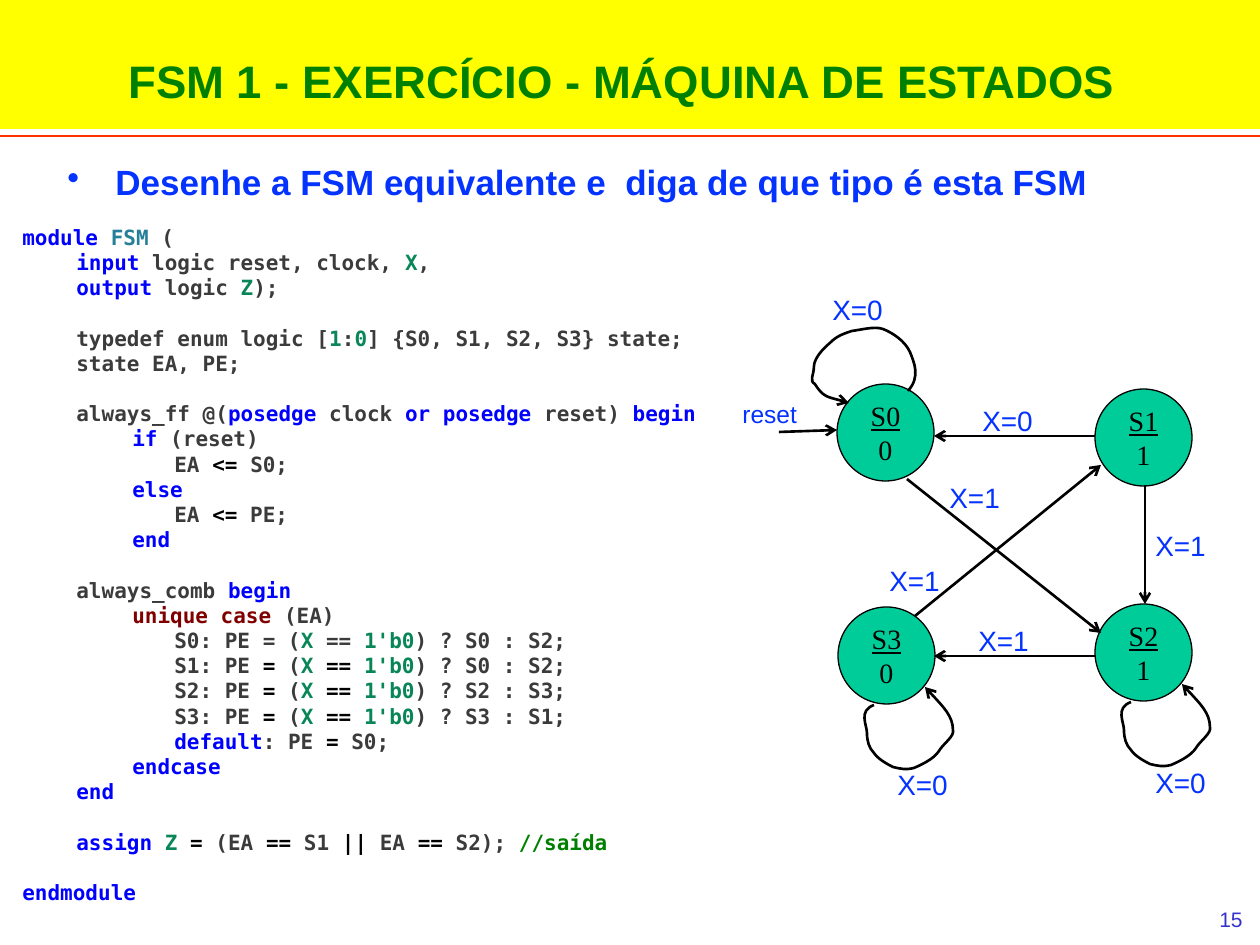
from dataclasses import dataclass

from lxml import etree
from pptx import Presentation
from pptx.dml.color import RGBColor
from pptx.enum.shapes import MSO_CONNECTOR, MSO_SHAPE
from pptx.enum.text import MSO_ANCHOR, PP_ALIGN
from pptx.oxml.ns import qn
from pptx.util import Pt

PX = 914400 / 126
STRAIGHT = MSO_CONNECTOR.STRAIGHT
RECTANGLE, OVAL = MSO_SHAPE.RECTANGLE, MSO_SHAPE.OVAL
TOP, MIDDLE = MSO_ANCHOR.TOP, MSO_ANCHOR.MIDDLE
LEFT, CENTER, RIGHT = PP_ALIGN.LEFT, PP_ALIGN.CENTER, PP_ALIGN.RIGHT


@dataclass(frozen=True)
class Theme:
    sans: str = "Arial"
    serif: str = "Times New Roman"
    mono: str = "DejaVu Sans Mono"
    band: str = "FFFF00"
    title: str = "008000"
    rule: str = "FF3300"
    accent: str = "0432FF"
    number: str = "3333CC"
    state: str = "00CC99"
    ink: str = "000000"
    title_size: int = 26
    bullet_size: int = 20
    label_size: int = 16
    reset_size: int = 14
    small_size: int = 12
    code_line: float = 14.4


THEME = Theme()

# Code colours by role: keyword, name, plain, value, operator, unique, comment
CODE_COLORS = {"k": "0000FF", "n": "267F99", "p": "3B3B3B", "v": "098658",
               "o": "000000", "u": "800000", "c": "008000"}
CODE_INDENTS = (0, 54, 110, 152)


def case_line(state, on_zero, on_one, role="o"):
    return (3, f"p{state}: PE `{role}=`p (`vX `{role}== `v1'b0`p) ? {on_zero} : {on_one};")


# Blocks are parted by a gap; each line is (depth, runs), a run opens with its role
CODE_BLOCKS = [
    [(0, "kmodule `nFSM`p ("),
     (1, "kinput`p logic reset, clock, `vX`p,"),
     (1, "koutput`p logic `vZ`p);")],
    [(1, "ptypedef enum logic [`v1`p:`v0`p] {S0, S1, S2, S3} state;"),
     (1, "pstate EA, PE;")],
    [(1, "palways_ff @(`kposedge`p clock `kor posedge`p reset) `kbegin"),
     (2, "kif`p (reset)"),
     (3, "pEA `o<= `pS0;"),
     (2, "kelse"),
     (3, "pEA `o<=`p PE;"),
     (2, "kend")],
    [(1, "palways_comb `kbegin"),
     (2, "uunique case`p (EA)"),
     case_line("S0", "S0", "S2", "p"),
     case_line("S1", "S0", "S2"),
     case_line("S2", "S2", "S3"),
     case_line("S3", "S3", "S1"),
     (3, "kdefault`p: PE `o= `pS0;"),
     (2, "kendcase"),
     (1, "kend")],
    [(1, "kassign `vZ `o=`p (EA `o== `pS1 `o||`p EA `o== `pS2); `c//saída")],
    [(0, "kendmodule")],
]

# State diagram, in px from the diagram's corner
STATE_SIZE = 97
STATES = [("S0", "0", 117, 104), ("S1", "1", 375, 109),
          ("S2", "1", 375, 324), ("S3", "0", 118, 327)]
ARROWS = [(375, 156, 214, 156), (425, 205, 425, 324), (59, 152, 117, 150),
          (187, 199, 381, 353), (375, 376, 214, 376), (195, 336, 381, 185)]
LABELS = [("X=0", 250, 117), ("X=1", 423, 242), ("X=0", 100, 6),
          ("X=1", 217, 194), ("X=0", 423, 479), ("X=1", 246, 337),
          ("X=0", 165, 481), ("X=1", 157, 277)]

# Self-loops as cubic curves, in px from the state's corner
UPPER_LOOP = [(71, 7), (84, -7), (77, -22), (73, -32), (68, -43), (56, -51), (46, -55),
              (37, -58), (24, -54), (15, -53), (6, -50), (0, -48), (-7, -41),
              (-13, -36), (-23, -26), (-23, -17), (-23, -9), (-28, -3), (-22, 0),
              (-14, 13), (-5, 14), (12, 19)]
LOWER_LOOP = [(36, 98), (20, 104), (29, 118), (29, 126), (29, 134), (31, 141), (36, 146),
              (40, 152), (49, 157), (55, 160), (63, 162), (68, 163), (76, 161),
              (83, 158), (96, 152), (101, 144), (105, 137), (117, 129), (115, 123),
              (115, 109), (99, 93), (87, 80)]
LOOPS = {"S0": UPPER_LOOP, "S2": LOWER_LOOP, "S3": LOWER_LOOP}


def emu(*lengths):
    return [round(length * PX) for length in lengths]


def rgb(color):
    return RGBColor.from_string(color)


def style(paragraph, size, color, font=THEME.sans, bold=False, align=LEFT):
    paragraph.alignment = align
    paragraph.font.name, paragraph.font.size = font, Pt(size)
    paragraph.font.bold = bold
    paragraph.font.color.rgb = rgb(color)


def add_text(slide, box, text, size, color, wrap=True, **options):
    shape = slide.shapes.add_textbox(*emu(*box))
    frame = shape.text_frame
    frame.word_wrap = wrap
    frame.text = text
    style(frame.paragraphs[0], size, color, **options)
    return frame


def add_filled(slide, preset, box, color):
    shape = slide.shapes.add_shape(preset, *emu(*box))
    shape.shadow.inherit = False
    shape.fill.solid()
    shape.fill.fore_color.rgb = rgb(color)
    return shape


def add_line(slide, ends, color, width):
    line = slide.shapes.add_connector(STRAIGHT, *emu(*ends))
    line.line.color.rgb = rgb(color)
    line.line.width = Pt(width)
    etree.SubElement(line.element.spPr, qn("a:effectLst"))
    return line


def add_arrowhead(shape):
    etree.SubElement(shape.line._get_or_add_ln(), qn("a:tailEnd"), type="arrow")


def add_loop(slide, left, top, points):
    corners = [emu(left + x, top + y) for x, y in points]
    builder = slide.shapes.build_freeform(*corners[0])
    builder.add_line_segments(corners[1:], close=False)
    shape = builder.convert_to_shape()
    shape.shadow.inherit = False
    shape.fill.background()
    shape.line.color.rgb = rgb(THEME.ink)
    shape.line.width = Pt(1.5)
    add_arrowhead(shape)
    # Join each three segments into one cubic curve
    outline = next(shape.element.iter(qn("a:path")))
    segments = outline.findall(qn("a:lnTo"))
    for start in range(0, len(segments), 3):
        curve = etree.SubElement(outline, qn("a:cubicBezTo"))
        for segment in segments[start:start + 3]:
            curve.append(segment[0])
            outline.remove(segment)


def add_header(slide, box, title):
    left, top, width, height = box
    band = add_filled(slide, RECTANGLE, box, THEME.band)
    band.line.fill.background()
    frame = band.text_frame
    frame.vertical_anchor = MIDDLE
    frame.margin_left, frame.margin_top, frame.margin_right, frame.margin_bottom = emu(12, 42, 28, 0)
    frame.text = title
    style(frame.paragraphs[0], THEME.title_size, THEME.title, bold=True, align=CENTER)
    rule = top + height + 7
    add_line(slide, (left, rule, left + width, rule), THEME.rule, 1)


def add_bullet(slide, box, text):
    frame = add_text(slide, box, text, THEME.bullet_size, THEME.accent, bold=True)
    frame.margin_top, indent = emu(10, 48)
    properties = frame.paragraphs[0]._p.get_or_add_pPr()
    properties.set("marL", str(indent))
    properties.set("indent", str(-indent))
    bullet = etree.Element(qn("a:buChar"), char="•")
    properties.insert(0, bullet)


def add_code(slide, box):
    frame = slide.shapes.add_textbox(*emu(*box)).text_frame
    frame.word_wrap = True
    paragraph = frame.paragraphs[0]
    for block_index, block in enumerate(CODE_BLOCKS):
        for line_index, (depth, runs) in enumerate(block):
            if block_index or line_index:
                paragraph = frame.add_paragraph()
            style(paragraph, THEME.small_size, CODE_COLORS["p"], THEME.mono, bold=True)
            paragraph.line_spacing = Pt(THEME.code_line)
            if block_index and not line_index:
                paragraph.space_before = Pt(THEME.code_line)
            paragraph._p.get_or_add_pPr().set("marL", str(emu(CODE_INDENTS[depth])[0]))
            for piece in runs.split("`"):
                run = paragraph.add_run()
                run.text = piece[1:]
                run.font.color.rgb = rgb(CODE_COLORS[piece[0]])


def add_state(slide, left, top, name, output):
    circle = add_filled(slide, OVAL, (left, top, STATE_SIZE, STATE_SIZE), THEME.state)
    circle.line.color.rgb = rgb(THEME.ink)
    circle.line.width = Pt(0.75)
    frame = circle.text_frame
    frame.word_wrap = False
    frame.vertical_anchor = MIDDLE
    frame.text = f"{name}\n{output}"
    for paragraph in frame.paragraphs:
        style(paragraph, THEME.label_size, THEME.ink, THEME.serif, align=CENTER)
    frame.paragraphs[0].font.underline = True


def add_diagram(slide, left, top):
    for name, output, x, y in STATES:
        add_state(slide, left + x, top + y, name, output)
        if name in LOOPS:
            add_loop(slide, left + x, top + y, LOOPS[name])
    for x1, y1, x2, y2 in ARROWS:
        add_arrowhead(add_line(slide, (left + x1, top + y1, left + x2, top + y2), THEME.ink, 1.5))
    for text, x, y in LABELS:
        add_text(slide, (left + x, top + y, 77, 47), text, THEME.label_size, THEME.accent, wrap=False)
    add_text(slide, (left + 10, top + 113, 81, 43), "reset", THEME.reset_size, THEME.accent, wrap=False)


def main():
    presentation = Presentation()
    presentation.slide_width, presentation.slide_height = emu(1260, 945)
    slide = presentation.slides.add_slide(presentation.slide_layouts[6])
    add_header(slide, (0, -11, 1260, 140), "FSM 1 - EXERCÍCIO - MÁQUINA DE ESTADOS")
    add_bullet(slide, (55, 151, 1167, 60), "Desenhe a FSM equivalente e  diga de que tipo é esta FSM")
    add_code(slide, (10, 218, 791, 699))
    add_diagram(slide, 720, 280)
    add_text(slide, (961, 900, 294, 45), "15", THEME.small_size, THEME.number, align=RIGHT)
    presentation.save("out.pptx")


if __name__ == "__main__":
    main()
